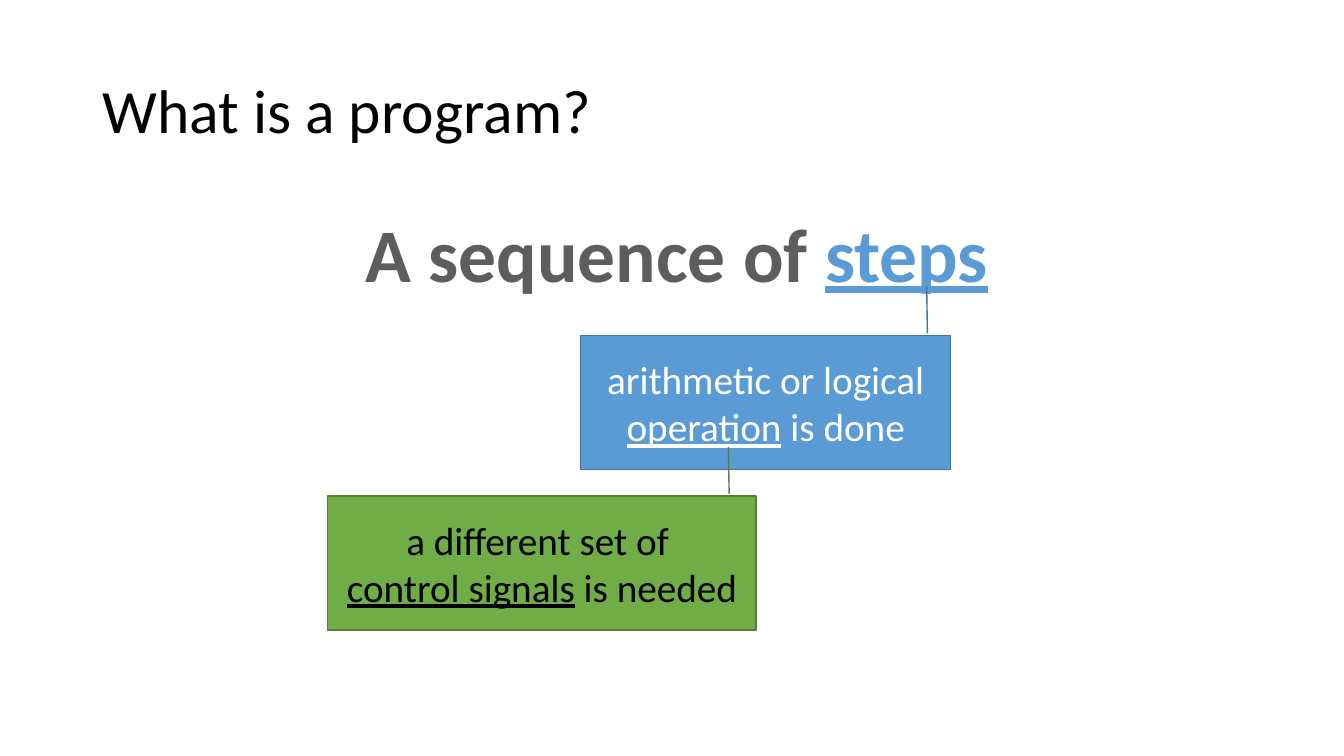
from pptx import Presentation
from pptx.dml.color import RGBColor
from pptx.enum.shapes import MSO_SHAPE
from pptx.enum.text import MSO_ANCHOR, MSO_AUTO_SIZE, PP_ALIGN
from pptx.util import Inches, Pt


def color(value):
    return RGBColor.from_string(value)


class SlideBuilder:
    """Adds styled text and callouts to one slide."""

    font_name = "Calibri"
    callout_pointer = (-0.017, 0.937, -0.365, 0.935)

    def __init__(self, presentation):
        self.slide = presentation.slides.add_slide(presentation.slide_layouts[5])

    def fill_text(self, shape, paragraphs, size, align=PP_ALIGN.CENTER, bold=False,
                  spacing=1.0, **frame_format):
        frame = shape.text_frame
        for name, value in frame_format.items():
            setattr(frame, name, value)
        for index, runs in enumerate(paragraphs):
            paragraph = frame.add_paragraph() if index else frame.paragraphs[0]
            paragraph.alignment = align
            paragraph.line_spacing = spacing
            for text, text_color, underline in runs:
                run = paragraph.add_run()
                run.text = text
                run.font.color.rgb = color(text_color)
                style = {"name": self.font_name, "size": Pt(size),
                         "bold": bold, "underline": underline}
                for name, value in style.items():
                    setattr(run.font, name, value)

    def title(self, text, box):
        shape = self.slide.shapes.title
        for name, value in zip(("left", "top", "width", "height"), box):
            setattr(shape, name, Inches(value))
        self.fill_text(shape, [[(text, "000000", False)]], 44, PP_ALIGN.LEFT,
                       spacing=0.9, auto_size=MSO_AUTO_SIZE.NONE,
                       vertical_anchor=MSO_ANCHOR.MIDDLE, word_wrap=True)

    def headline(self, runs, box):
        shape = self.slide.shapes.add_textbox(*map(Inches, box))
        self.fill_text(shape, [runs], 54, bold=True, word_wrap=False,
                       auto_size=MSO_AUTO_SIZE.SHAPE_TO_FIT_TEXT)

    def callout(self, paragraphs, box, fill, line):
        shape = self.slide.shapes.add_shape(MSO_SHAPE.LINE_CALLOUT_1, *map(Inches, box))
        shape.shadow.inherit = False
        for index, value in enumerate(self.callout_pointer):
            shape.adjustments[index] = value
        shape.fill.solid()
        shape.fill.fore_color.rgb = color(fill)
        shape.line.color.rgb = color(line)
        shape.line.width = Pt(1)
        self.fill_text(shape, paragraphs, 28, word_wrap=True,
                       vertical_anchor=MSO_ANCHOR.MIDDLE)


def main():
    presentation = Presentation()
    presentation.slide_width = Inches(13.33)
    presentation.slide_height = Inches(7.5)
    builder = SlideBuilder(presentation)
    builder.title("What is a program?", (0.92, 0.4, 11.5, 1.45))
    builder.headline([("A sequence of ", "5D5D5D", False), ("steps", "5B9BD5", True)],
                     (3.43, 2, 6.57, 1.01))
    builder.callout([[("arithmetic or logical ", "FFFFFF", False),
                      ("operation", "FFFFFF", True),
                      (" is done", "FFFFFF", False)]],
                    (5.76, 3.33, 3.67, 1.33), "5B9BD5", "43739E")
    builder.callout([[("a different set of ", "000000", False)],
                     [("control signals", "000000", True),
                      (" is needed", "000000", False)]],
                    (3.25, 4.92, 4.25, 1.33), "70AD47", "538035")
    presentation.save("out.pptx")


if __name__ == "__main__":
    main()
